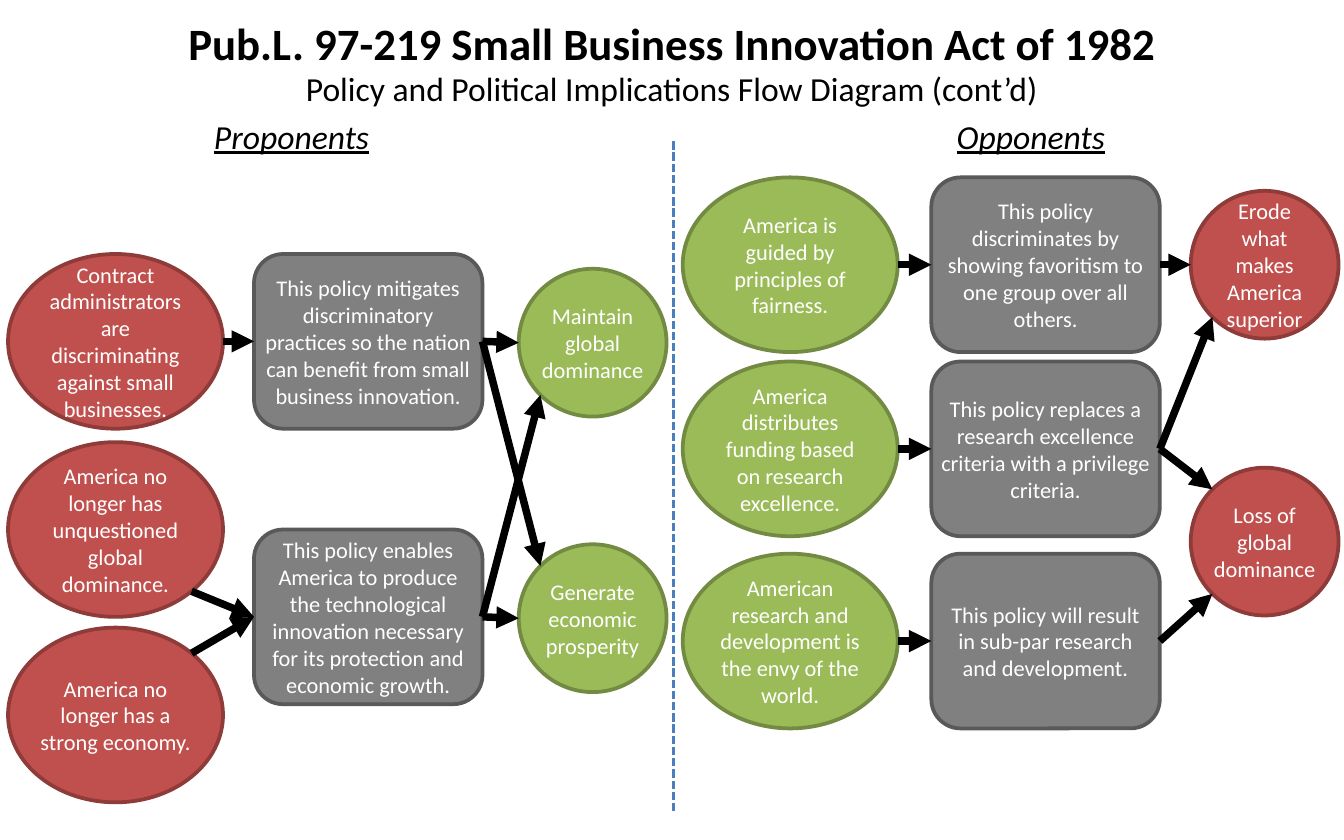
from lxml import etree
from pptx import Presentation
from pptx.dml.color import RGBColor
from pptx.enum.dml import MSO_LINE
from pptx.enum.shapes import MSO_CONNECTOR, MSO_SHAPE
from pptx.enum.text import MSO_ANCHOR, MSO_AUTO_SIZE, PP_ALIGN
from pptx.oxml.ns import qn
from pptx.util import Inches, Pt

OVAL, ROUND = MSO_SHAPE.OVAL, MSO_SHAPE.ROUNDED_RECTANGLE
STRAIGHT, DASH = MSO_CONNECTOR.STRAIGHT, MSO_LINE.SQUARE_DOT
CENTER, MIDDLE = PP_ALIGN.CENTER, MSO_ANCHOR.MIDDLE
GROW = MSO_AUTO_SIZE.SHAPE_TO_FIT_TEXT

THEME = {
    "font": "Calibri",
    "black": "000000", "white": "FFFFFF", "blue": "4B7EBC",
    "red": ("C0504D", "8E3B39"),
    "green": ("9BBB59", "738A42"),
    "gray": ("808080", "595959"),
    "title": 24, "head": 18, "body": 12,
    "edge": 2, "arrow": 4, "rule": 1.5,
}

# kind: preset, width, height, side inset, top inset
KINDS = {
    "cause": (OVAL, 1.6, 1.3, 0, 0.01),
    "claim": (ROUND, 1.7, 1.3, 0.01, 0.05),
    "result": (OVAL, 1.1, 1.1, 0.01, 0.05),
}
DIAG = 0.5 ** 0.5  # an oval's diagonal port, as a share of its half size


class Deck:
    """Holds the theme and the current slide."""

    def __init__(self, theme, width, height):
        """Start a deck with one blank slide."""
        self.theme = theme
        self.file = Presentation()
        self.file.slide_width = Inches(width)
        self.file.slide_height = Inches(height)
        self.slide = self.file.slides.add_slide(self.file.slide_layouts[6])

    def color(self, name):
        """Give a theme colour as RGB."""
        return RGBColor.from_string(self.theme[name])

    def words(self, frame, text, size, color, **style):
        """Put one centred paragraph in a text frame."""
        frame.word_wrap = True
        para = frame.paragraphs[0]
        para.alignment = CENTER
        run = para.add_run()
        run.text = text
        look = {"name": self.theme["font"], "size": Pt(self.theme[size]), **style}
        for key, value in look.items():
            setattr(run.font, key, value)
        run.font.color.rgb = self.color(color)

    def label(self, text, left, top, width, height, size, **style):
        """Add a heading text box."""
        box = self.slide.shapes.add_textbox(*map(Inches, (left, top, width, height)))
        self.words(box.text_frame, text, size, "black", **style)
        box.text_frame.auto_size = GROW

    def node(self, kind, hue, left, mid, text):
        """Add a filled shape centred on the height mid; return its place."""
        preset, width, height, side, cap = KINDS[kind]
        place = (left, mid - height / 2, width, height)
        shape = self.slide.shapes.add_shape(preset, *map(Inches, place))
        shape.shadow.inherit = False
        fill, edge = self.theme[hue]
        shape.fill.solid()
        shape.fill.fore_color.rgb = RGBColor.from_string(fill)
        shape.line.color.rgb = RGBColor.from_string(edge)
        shape.line.width = Pt(self.theme["edge"])
        frame = shape.text_frame
        insets = {"margin_left": side, "margin_right": side,
                  "margin_top": cap, "margin_bottom": cap}
        for key, value in insets.items():
            setattr(frame, key, Inches(value))
        frame.vertical_anchor = MIDDLE
        self.words(frame, text, "body", "white")
        return place

    def line(self, start, end, color, width):
        """Add a straight line without a shadow."""
        line = self.slide.shapes.add_connector(STRAIGHT, *map(Inches, start + end))
        line.line.color.rgb = self.color(color)
        line.line.width = Pt(self.theme[width])
        etree.SubElement(line.element.spPr, qn("a:effectLst"))
        return line

    def arrow(self, start, end):
        """Add a thick black arrow."""
        line = self.line(start, end, "black", "arrow")
        stroke = line.element.spPr.find(qn("a:ln"))
        etree.SubElement(stroke, qn("a:tailEnd"), type="triangle")


def port(place, across, down):
    """Find the point of a shape in a direction of -1, 0 or 1 each way."""
    left, top, width, height = place
    reach = DIAG if across and down else 1
    return (left + width / 2 * (1 + across * reach),
            top + height / 2 * (1 + down * reach))


LEFT, RIGHT = (-1, 0), (1, 0)
UPLEFT, LOWLEFT = (-1, -1), (-1, 1)
UPRIGHT, LOWRIGHT = (1, -1), (1, 1)

# name: kind, colour, left, middle height, text
NODES = {
    "bias": ("cause", "red", 0.06, 2.54, "Contract administrators are discriminating against small businesses."),
    "rank": ("cause", "red", 0.06, 3.94, "America no longer has unquestioned global dominance."),
    "weak": ("cause", "red", 0.06, 5.32, "America no longer has a strong economy."),
    "ease": ("claim", "gray", 1.89, 2.54, "This policy mitigates discriminatory practices so the nation can benefit from small business innovation."),
    "build": ("claim", "gray", 1.89, 4.59, "This policy enables America to produce the technological innovation necessary for its protection and economic growth."),
    "lead": ("result", "green", 3.86, 2.55, "Maintain global dominance"),
    "wealth": ("result", "green", 3.86, 4.6, "Generate economic prosperity"),
    "fair": ("cause", "green", 5.08, 1.97, "America is guided by principles of fairness."),
    "fund": ("cause", "green", 5.08, 3.34, "America distributes funding based on research excellence."),
    "envy": ("cause", "green", 5.08, 4.77, "American research and development is the envy of the world."),
    "favor": ("claim", "gray", 6.93, 1.97, "This policy discriminates by showing favoritism to one group over all others."),
    "swap": ("claim", "gray", 6.93, 3.34, "This policy replaces a research excellence criteria with a privilege criteria."),
    "poor": ("claim", "gray", 6.93, 4.77, "This policy will result in sub-par research and development."),
    "erode": ("result", "red", 8.86, 1.97, "Erode what makes America superior"),
    "loss": ("result", "red", 8.86, 4.03, "Loss of global dominance"),
}

LINKS = [
    ("bias", RIGHT, "ease", LEFT),
    ("rank", LOWRIGHT, "build", LEFT),
    ("weak", UPRIGHT, "build", LEFT),
    ("ease", RIGHT, "lead", LEFT),
    ("ease", RIGHT, "wealth", UPLEFT),
    ("build", RIGHT, "wealth", LEFT),
    ("build", RIGHT, "lead", LOWLEFT),
    ("fair", RIGHT, "favor", LEFT),
    ("fund", RIGHT, "swap", LEFT),
    ("envy", RIGHT, "poor", LEFT),
    ("favor", RIGHT, "erode", LEFT),
    ("swap", RIGHT, "erode", LOWLEFT),
    ("swap", RIGHT, "loss", UPLEFT),
    ("poor", RIGHT, "loss", LOWLEFT),
]


def main():
    """Build the flow diagram and save it."""
    deck = Deck(THEME, 10, 6.25)
    deck.label("Pub.L. 97-219 Small Business Innovation Act of 1982",
               1, 0.07, 8, 0.5, "title", bold=True)
    deck.label("Policy and Political Implications Flow Diagram (cont’d)",
               1.75, 0.46, 6.5, 0.4, "head")
    for text, left in (("Proponents", 1.17), ("Opponents", 6.67)):
        deck.label(text, left, 0.81, 2, 0.4, "head", italic=True, underline=True)
    rule = deck.line((5.01, 1.05), (5.01, 6.05), "blue", "rule")
    rule.line.dash_style = DASH
    spots = {name: deck.node(*node) for name, node in NODES.items()}
    for tail, out, head, into in LINKS:
        deck.arrow(port(spots[tail], *out), port(spots[head], *into))
    deck.file.save("out.pptx")


main()
